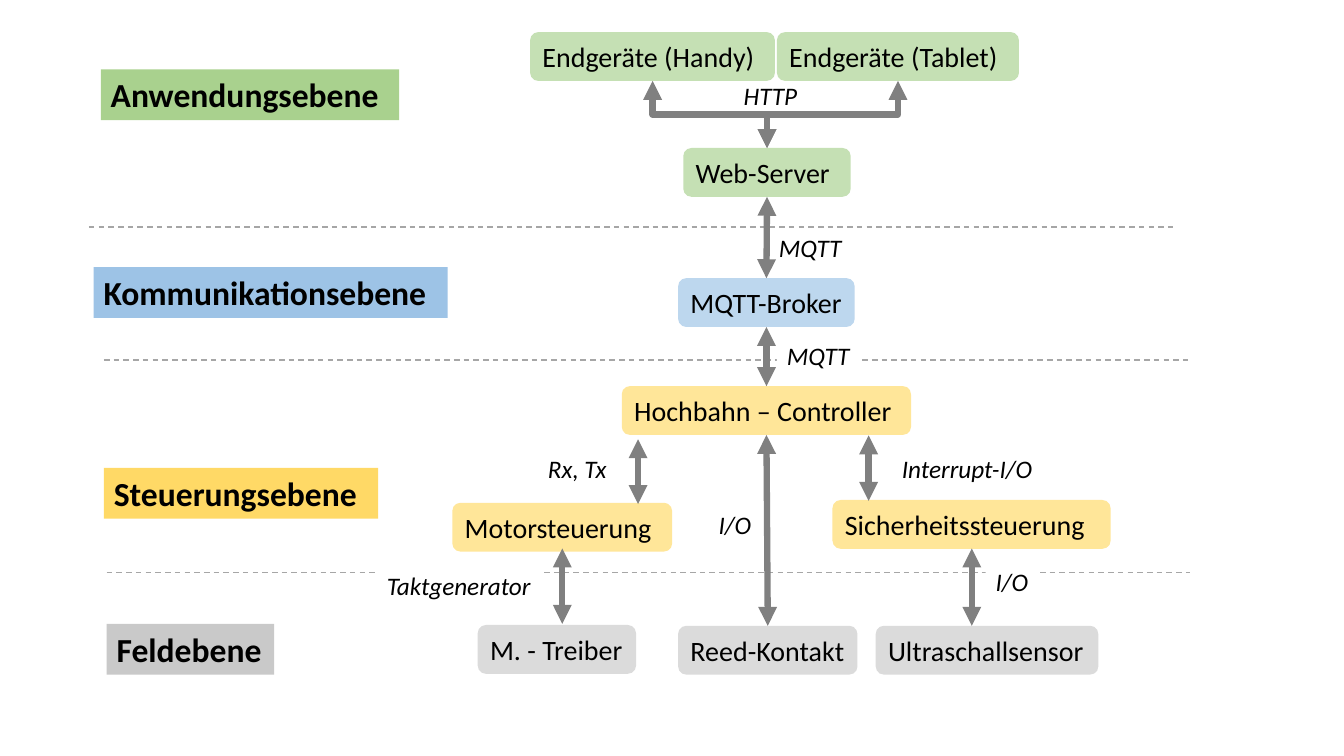
from lxml.etree import SubElement
from pptx import Presentation
from pptx.dml.color import RGBColor
from pptx.enum.dml import MSO_LINE
from pptx.enum.shapes import MSO_CONNECTOR, MSO_SHAPE
from pptx.enum.text import MSO_ANCHOR, MSO_AUTO_SIZE, PP_ALIGN
from pptx.oxml.ns import qn
from pptx.util import Cm, Pt

GREEN, BLUE, YELLOW, GREY = "C5E0B4", "BDD7EE", "FFE699", "DBDBDB"
TOP, BOTTOM = 0, 2  # connection sites of a rounded box


def color(code):
    """Turn a hex string into a colour."""
    return RGBColor.from_string(code)


class Canvas:
    """Holds the style and the current slide."""

    font, ink, dash, arrow = "Calibri", "000000", "A6A6A6", "808080"

    def __init__(self, slide):
        """Keep the slide to draw on."""
        self.shapes = slide.shapes

    def letter(self, shape, text, size, bold=False, italic=False):
        """Put one run of text into a shape."""
        frame = shape.text_frame
        frame.word_wrap = False
        frame.auto_size = MSO_AUTO_SIZE.SHAPE_TO_FIT_TEXT
        frame.vertical_anchor = MSO_ANCHOR.TOP
        para = frame.paragraphs[0]
        para.alignment = PP_ALIGN.LEFT
        run = para.add_run()
        run.text = text
        font = run.font
        font.name, font.size = self.font, Pt(size)
        font.bold, font.italic = bold, italic
        font.color.rgb = color(self.ink)

    def block(self, kind, left, top, width, height, fill):
        """Add a filled shape without outline."""
        shape = self.shapes.add_shape(kind, Cm(left), Cm(top), Cm(width), Cm(height))
        shape.shadow.inherit = False
        shape.fill.solid()
        shape.fill.fore_color.rgb = color(fill)
        shape.line.fill.background()
        return shape

    def level(self, text, left, top, width, fill):
        """Add the bold name of a level."""
        shape = self.block(MSO_SHAPE.RECTANGLE, left, top, width, 1.28, fill)
        self.letter(shape, text, 24, bold=True)

    def node(self, text, left, top, width, fill):
        """Add a rounded box for a component."""
        shape = self.block(MSO_SHAPE.ROUNDED_RECTANGLE, left, top, width, 1.23, fill)
        self.letter(shape, text, 20)
        return shape

    def label(self, text, left, top, width, fill=None):
        """Add an italic protocol name, on a fill or without."""
        if fill:
            shape = self.block(MSO_SHAPE.RECTANGLE, left, top, width, 1.02, fill)
        else:
            shape = self.shapes.add_textbox(Cm(left), Cm(top), Cm(width), Cm(1.02))
        self.letter(shape, text, 18, italic=True)

    def line(self, start, end, tone, width, kind=MSO_CONNECTOR.STRAIGHT):
        """Add a plain connector between two points."""
        link = self.shapes.add_connector(kind, *start, *end)
        link.line.color.rgb = color(tone)
        link.line.width = Pt(width)
        SubElement(link._element.spPr, qn("a:effectLst"))
        return link

    def border(self, left, top):
        """Add a dashed line between two levels."""
        link = self.line((Cm(left), Cm(top)), (Cm(left + 27.31), Cm(top)), self.dash, 1)
        link.line.dash_style = MSO_LINE.DASH

    def double(self, start, end, kind=MSO_CONNECTOR.STRAIGHT):
        """Add a thick arrow with a head at both ends."""
        link = self.line(start, end, self.arrow, 4.5, kind)
        outline = link._element.spPr.find(qn("a:ln"))
        for tag in ("a:headEnd", "a:tailEnd"):
            SubElement(outline, qn(tag), type="triangle")
        return link

    def join(self, upper, lower):
        """Glue an arrow from the bottom of one box to the top of another."""
        link = self.double((0, 0), (0, 0))
        link.begin_connect(upper, BOTTOM)
        link.end_connect(lower, TOP)

    def bend(self, upper, lower):
        """Add an arrow going down, across and down between two boxes."""
        x1, y1 = upper.left + upper.width // 2, upper.top + upper.height
        x2, y2 = lower.left + lower.width // 2, lower.top
        midx, midy = (x1 + x2) // 2, (y1 + y2) // 2
        halfw, halfh = (y2 - y1) // 2, abs(x2 - x1) // 2
        right = x2 > x1
        side = -halfw if right else halfw
        link = self.double((midx - side, midy - halfh), (midx + side, midy + halfh),
                           MSO_CONNECTOR.ELBOW)
        turn = 270 if right else 90
        link._element.spPr.find(qn("a:xfrm")).set("rot", str(turn * 60000))


deck = Presentation()
deck.slide_width, deck.slide_height = Cm(33.87), Cm(19.05)
page = Canvas(deck.slides.add_slide(deck.slide_layouts[6]))

for left, top in ((2.24, 5.72), (2.62, 9.07), (2.69, 14.43)):
    page.border(left, top)

for name, left, top, width, fill in (
    ("Anwendungsebene ", 2.54, 1.75, 7.52, "A9D18E"),
    ("Kommunikationsebene ", 2.36, 6.73, 8.92, "9DC3E6"),
    ("Steuerungsebene ", 2.62, 11.79, 6.91, "FFD966"),
    ("Feldebene", 2.69, 15.72, 4.22, "C9C9C9"),
):
    page.level(name, left, top, width, fill)

phone = page.node("Endgeräte (Handy) ", 13.36, 0.81, 6.17, GREEN)
tablet = page.node("Endgeräte (Tablet) ", 19.58, 0.81, 6.1, GREEN)
server = page.node("Web-Server ", 17.22, 3.73, 4.22, GREEN)
broker = page.node("MQTT-Broker", 17.09, 7.01, 4.45, BLUE)
control = page.node("Hochbahn – Controller ", 15.67, 9.73, 7.29, YELLOW)
page.node("Motorsteuerung ", 11.4, 12.67, 5.54, YELLOW)
page.node("Sicherheitssteuerung  ", 20.98, 12.6, 7.01, YELLOW)
page.node("M. - Treiber", 12.04, 15.75, 3.99, GREY)
reed = page.node("Reed-Kontakt", 17.09, 15.77, 4.52, GREY)
page.node("Ultraschallsensor", 22.07, 15.77, 5.61, GREY)

for device in (phone, tablet):
    page.bend(device, server)
chain = (server, broker, control, reed)
for upper, lower in zip(chain, chain[1:]):
    page.join(upper, lower)
for x, top, end in ((16.08, 11.07, 12.7), (21.89, 10.97, 12.62),
                    (14.17, 13.82, 15.72), (24.49, 13.82, 15.77)):
    page.double((Cm(x), Cm(top)), (Cm(x), Cm(end)))

page.label("HTTP", 18.49, 1.91, 1.88)
page.label("MQTT", 19.38, 5.72, 2.11)
for name, left, top, width in (
    ("MQTT", 19.58, 8.46, 2.11),
    ("Rx, Tx", 13.56, 11.3, 2.01),
    ("Interrupt-I/O", 22.48, 11.3, 3.81),
    ("I/O", 17.86, 12.7, 1.35),
    ("Taktgenerator", 9.5, 14.25, 4.17),
    ("I/O", 24.84, 14.15, 1.35),
):
    page.label(name, left, top, width, "FFFFFF")

deck.save("out.pptx")
